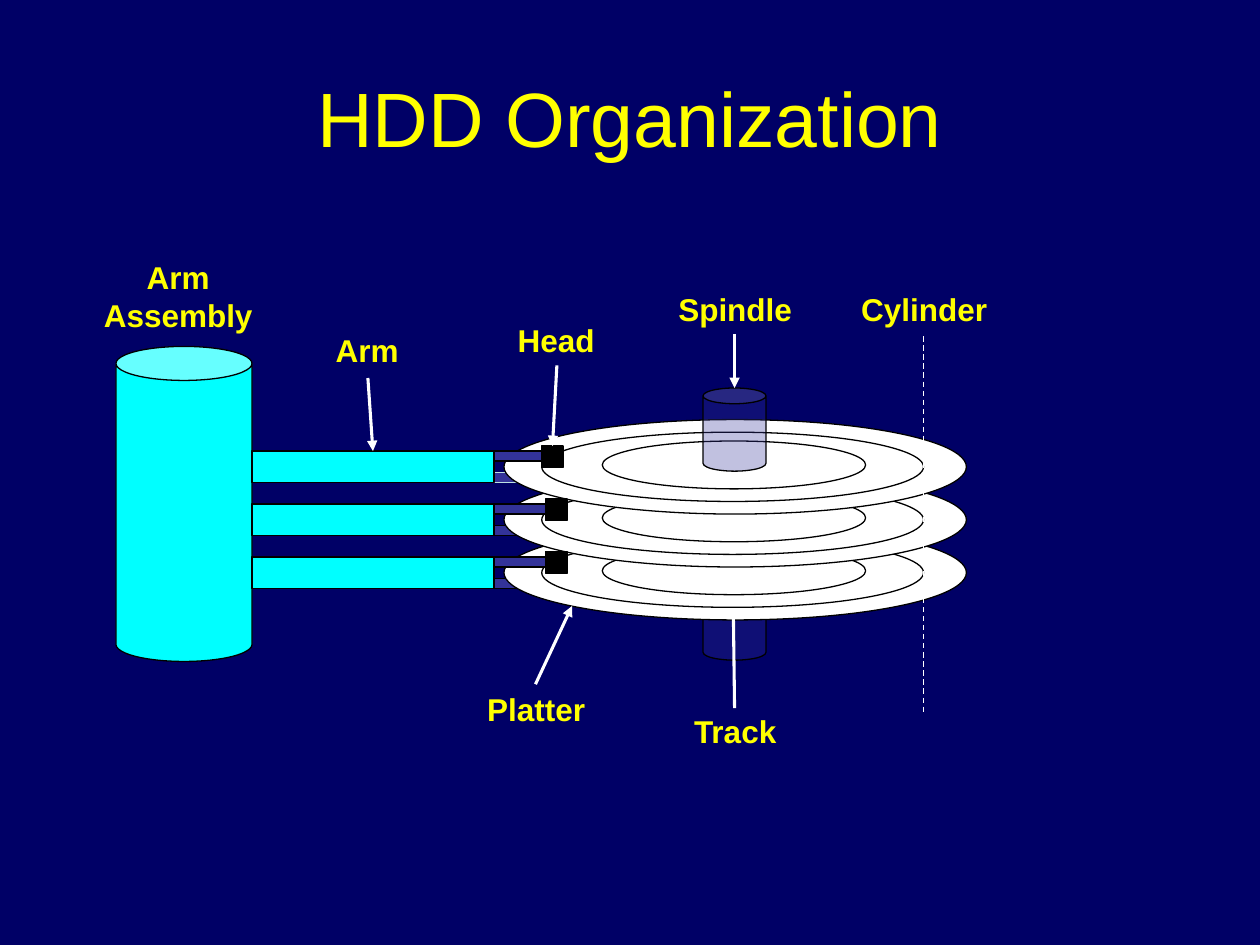
from dataclasses import dataclass

from lxml import etree
from pptx import Presentation
from pptx.dml.color import RGBColor
from pptx.enum.dml import MSO_LINE
from pptx.enum.shapes import MSO_CONNECTOR, MSO_SHAPE as SHAPE
from pptx.enum.text import MSO_ANCHOR as ANCHOR, PP_ALIGN as ALIGN
from pptx.oxml.ns import qn
from pptx.util import Inches, Pt


@dataclass(frozen=True)
class Theme:
    background: str = "000066"
    text: str = "FFFF00"
    arm: str = "00FFFF"
    metal: str = "333399"
    platter: str = "FFFFFF"
    pointer: str = "FFFFFF"
    outline: str = "000000"
    pale_outline: str = "BBE0E3"
    font: str = "Arial"
    title_size: int = 44
    label_size: int = 18
    thin: float = 0.75
    thick: float = 1.75


def color(value):
    return RGBColor.from_string(value)


def write(box, text, *, size, font, ink, bold=False, anchor=ANCHOR.TOP):
    frame = box.text_frame
    frame.word_wrap = True
    frame.vertical_anchor = anchor
    para = frame.paragraphs[0]
    para.alignment = ALIGN.CENTER
    span = para.add_run()
    span.text = text
    span.font.size = Pt(size)
    span.font.name = font
    span.font.bold = bold
    span.font.color.rgb = color(ink)


class Diagram:
    def __init__(self, page, theme):
        self.page = page
        self.theme = theme
        page.background.fill.solid()
        page.background.fill.fore_color.rgb = color(theme.background)

    def title(self, text):
        box = self.page.shapes.add_textbox(*map(Inches, (0.5, 0.3, 9, 1.25)))
        write(box, text, size=self.theme.title_size, font=self.theme.font,
              ink=self.theme.text, anchor=ANCHOR.MIDDLE)

    def label(self, text, left, top, height=0.4):
        box = self.page.shapes.add_textbox(*map(Inches, (left, top, 1.67, height)))
        write(box, text, size=self.theme.label_size, font=self.theme.font,
              ink=self.theme.text, bold=True)

    def shape(self, kind, left, top, width, height, fill, outline=None, opacity=None):
        shape = self.page.shapes.add_shape(kind, *map(Inches, (left, top, width, height)))
        shape.shadow.inherit = False
        shape.fill.solid()
        shape.fill.fore_color.rgb = color(fill)
        shape.line.color.rgb = color(outline or self.theme.outline)
        shape.line.width = Pt(self.theme.thin)
        if opacity is not None:
            fill_color = shape._element.spPr.find(qn("a:solidFill"))[0]
            etree.SubElement(fill_color, qn("a:alpha"), val=str(opacity * 1000))
        return shape

    def line(self, start, end, width):
        line = self.page.shapes.add_connector(
            MSO_CONNECTOR.STRAIGHT, *map(Inches, (*start, *end)))
        line.line.color.rgb = color(self.theme.pointer)
        line.line.width = Pt(width)
        etree.SubElement(line._element.spPr, qn("a:effectLst"))
        return line

    def arrow(self, start, end, target=None):
        arrow = self.line(start, end, self.theme.thick)
        etree.SubElement(arrow.line._get_or_add_ln(), qn("a:tailEnd"), type="triangle")
        if target is not None:
            arrow.end_connect(target, 0)

    def dashed_line(self, start, end):
        self.line(start, end, self.theme.thin).line.dash_style = MSO_LINE.DASH

    def platter(self, top):
        tracks = ((4, 0, 3.67, 0.75), (4.3, 0.1, 3.03, 0.55), (4.78, 0.17, 2.09, 0.38))
        for left, drop, width, height in tracks:
            self.shape(SHAPE.OVAL, left, top + drop, width, height, self.theme.platter)

    def spindle(self, top):
        self.shape(SHAPE.CAN, 5.58, top, 0.5, 0.66, self.theme.metal, opacity=30)

    def suspension(self, top, outline=None):
        self.shape(SHAPE.RECTANGLE, 3.92, top, 0.42, 0.08, self.theme.metal, outline)

    def arm(self, top, head_left):
        arm = self.shape(SHAPE.RECTANGLE, 2, top, 1.92, 0.25, self.theme.arm)
        self.suspension(top)
        head = self.shape(SHAPE.RECTANGLE, head_left, top - 0.04, 0.17, 0.17,
                          self.theme.outline)
        return arm, head


def main():
    deck = Presentation()
    deck.slide_width, deck.slide_height = Inches(10), Inches(7.5)
    theme = Theme()
    diagram = Diagram(deck.slides.add_slide(deck.slide_layouts[6]), theme)
    pitch = 0.42

    diagram.title("HDD Organization")

    # Lower spindle end and the suspensions under the arms
    diagram.spindle(4.58)
    for level in (2, 1, 0):
        diagram.suspension(3.75 + level * pitch,
                           theme.outline if level else theme.pale_outline)

    # Platters, bottom to top
    for level in (2, 1, 0):
        diagram.platter(3.33 + level * pitch)

    # Arm assembly with its arms and heads
    diagram.shape(SHAPE.CAN, 0.92, 2.75, 1.08, 2.5, theme.arm)
    arms = [diagram.arm(3.58 + level * pitch, head_left)
            for level, head_left in enumerate((4.3, 4.33, 4.33))]
    top_arm, top_head = arms[0]

    # Upper spindle end and cylinder
    diagram.spindle(3.08)
    diagram.dashed_line((7.33, 2.67), (7.33, 5.67))

    # Labels
    diagram.label("Arm Assembly", 0.58, 2, height=0.7)
    for text, left, top in (
        ("Arm", 2.08, 2.58),
        ("Head", 3.58, 2.5),
        ("Cylinder", 6.5, 2.25),
        ("Spindle", 5, 2.25),
        ("Platter", 3.42, 5.43),
        ("Track", 5, 5.6),
    ):
        diagram.label(text, left, top)

    # Pointers from labels to parts
    diagram.arrow((4.42, 2.9), (4.38, 3.53), top_head)
    diagram.arrow((2.92, 3), (2.96, 3.58), top_arm)
    diagram.arrow((5.83, 2.65), (5.83, 3.08))
    diagram.arrow((4.25, 5.43), (4.54, 4.81))
    diagram.arrow((5.83, 5.62), (5.82, 4.83))

    deck.save("out.pptx")


if __name__ == "__main__":
    main()
